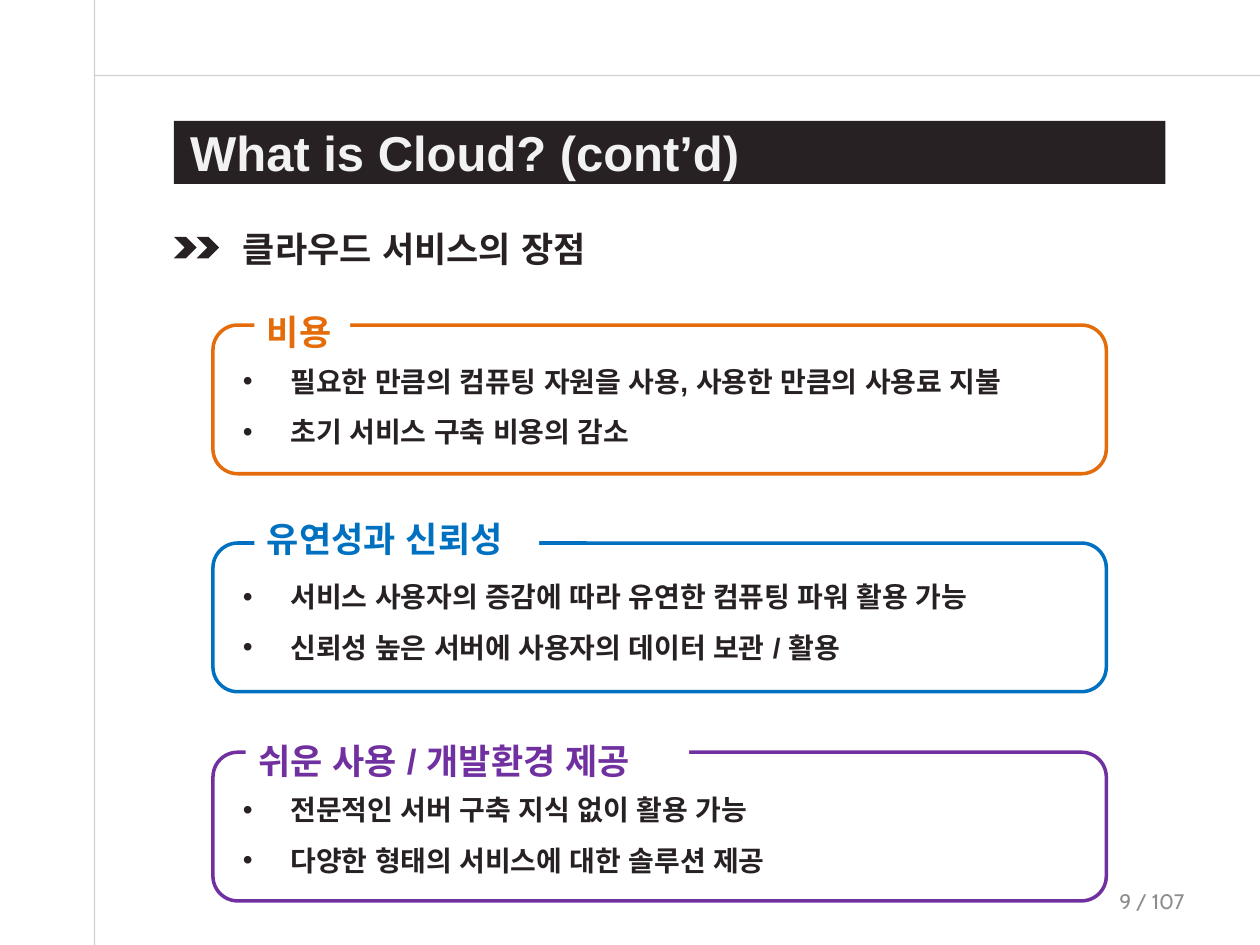
"""Build a slide listing the advantages of cloud services in three labelled frames."""
import pptx
import pptx.dml.color
import pptx.enum.shapes
import pptx.enum.text
import pptx.oxml
import pptx.oxml.ns
import pptx.util

RGBColor = pptx.dml.color.RGBColor
Inches = pptx.util.Inches
Pt = pptx.util.Pt
Shapes = pptx.enum.shapes.MSO_SHAPE
Anchor = pptx.enum.text.MSO_ANCHOR
Align = pptx.enum.text.PP_ALIGN

INK = RGBColor(0x27, 0x21, 0x23)
WHITE = RGBColor(0xFF, 0xFF, 0xFF)
TITLE_COLOR = RGBColor(0xF2, 0xF2, 0xF2)
RULE_COLOR = RGBColor(0xA6, 0xA6, 0xA6)
PAGE_COLOR = RGBColor(0x8C, 0x8C, 0x8C)
ORANGE = RGBColor(0xE4, 0x6C, 0x0A)
BLUE = RGBColor(0x00, 0x70, 0xC0)
PURPLE = RGBColor(0x70, 0x30, 0xA0)

WIDTH, HEIGHT = 10, 7.5
MARGIN, CONTENT_WIDTH = 1.38, 7.87
TEXT_LEFT = 1.83
FRAME_LEFT, FRAME_WIDTH, FRAME_HEIGHT = 1.69, 7.09, 1.18
HANGING = 0.38

TITLE = "What is Cloud? (cont’d)"
HEADING = "클라우드 서비스의 장점"
PAGE = "9 / 107"
SECTIONS = [
    {"color": ORANGE, "top": 2.58, "label": "비용",
     "label_box": (2.02, 2.25, 0.76, 0.54), "spacing": 1.5,
     "points_top": 2.71, "points_width": 7,
     "points": ["필요한 만큼의 컴퓨팅 자원을 사용, 사용한 만큼의 사용료 지불",
                "초기 서비스 구축 비용의 감소"]},
    {"color": BLUE, "top": 4.31, "label": "유연성과 신뢰성",
     "label_box": (2.02, 4.06, 2.26, 0.44), "spacing": 1,
     "points_top": 4.42, "points_width": 6.67,
     "points": ["서비스 사용자의 증감에 따라 유연한 컴퓨팅 파워 활용 가능",
                "신뢰성 높은 서버에 사용자의 데이터 보관 / 활용"]},
    {"color": PURPLE, "top": 5.97, "label": "쉬운 사용 / 개발환경 제공",
     "label_box": (1.95, 5.65, 3.52, 0.54), "spacing": 1.5,
     "points_top": 6.11, "points_width": 5,
     "points": ["전문적인 서버 구축 지식 없이 활용 가능",
                "다양한 형태의 서비스에 대한 솔루션 제공"]},
]


def add_element(parent, tag, **attributes):
    element = pptx.oxml.parse_xml(f"<a:{tag} {pptx.oxml.ns.nsdecls('a')}/>")
    for name, value in attributes.items():
        element.set(name, str(value))
    parent.append(element)


def add_box(slide, kind, box, fill=None, line=None):
    shape = slide.shapes.add_shape(kind, *map(Inches, box))
    shape.shadow.inherit = False
    if fill is None:
        shape.fill.background()
    else:
        shape.fill.solid()
        shape.fill.fore_color.rgb = fill
    if line is None:
        shape.line.fill.background()
    else:
        shape.line.color.rgb = line
        shape.line.width = Pt(2)
    return shape


def write(shape, lines, size, color, bold=True, font="Arial", spacing=1,
          bullet=False, align=Align.LEFT, anchor=Anchor.TOP):
    frame = shape.text_frame
    frame.word_wrap = True
    frame.vertical_anchor = anchor
    for index, line in enumerate(lines):
        paragraph = frame.add_paragraph() if index else frame.paragraphs[0]
        paragraph.alignment = align
        paragraph.line_spacing = spacing
        if bullet:
            properties = paragraph._p.get_or_add_pPr()
            properties.set("marL", str(Inches(HANGING)))
            properties.set("indent", str(-Inches(HANGING)))
            add_element(properties, "buFont", typeface="Arial")
            add_element(properties, "buChar", char="•")
        run = paragraph.add_run()
        run.text = line
        run.font.size = Pt(size)
        run.font.bold = bold
        run.font.color.rgb = color
        run.font.name = font
        add_element(run._r.get_or_add_rPr(), "ea", typeface=font)
    return frame


def add_text(slide, box, lines, size, color, **style):
    return write(slide.shapes.add_textbox(*map(Inches, box)), lines, size, color, **style)


def add_rule(slide, start, end):
    rule = slide.shapes.add_connector(
        pptx.enum.shapes.MSO_CONNECTOR.STRAIGHT, *map(Inches, start + end))
    rule.line.color.rgb = RULE_COLOR
    rule.line.width = Pt(0.75)
    color = rule.line._ln.find(".//" + pptx.oxml.ns.qn("a:srgbClr"))
    add_element(color, "alpha", val=50000)
    add_element(rule._element.spPr, "effectLst")


def main():
    presentation = pptx.Presentation()
    presentation.slide_width = Inches(WIDTH)
    presentation.slide_height = Inches(HEIGHT)
    slide = presentation.slides.add_slide(presentation.slide_layouts[6])

    add_box(slide, Shapes.RECTANGLE, (MARGIN, 0.96, CONTENT_WIDTH, 0.5), INK)
    title = add_text(slide, (1.3, 0.92, 8.35, 0.57), [TITLE], 28, TITLE_COLOR)
    title.margin_left = Inches(0.21)
    add_rule(slide, (0.75, 0), (0.75, HEIGHT))
    add_rule(slide, (WIDTH, 0.6), (0.75, 0.6))

    for column in range(2):
        add_box(slide, Shapes.CHEVRON, (MARGIN + 0.18 * column, 1.88, 0.18, 0.17), INK)
    add_text(slide, (TEXT_LEFT, 1.76, 7.42, 0.44), [HEADING], 20, INK)

    for section in SECTIONS:
        frame_box = (FRAME_LEFT, section["top"], FRAME_WIDTH, FRAME_HEIGHT)
        add_box(slide, Shapes.ROUNDED_RECTANGLE, frame_box, line=section["color"])
        label = add_box(slide, Shapes.RECTANGLE, section["label_box"], WHITE)
        label_frame = write(label, [section["label"]], 20, section["color"],
                            spacing=section["spacing"])
        label_frame.margin_right = 0
        points_box = (TEXT_LEFT, section["points_top"], section["points_width"], 0.91)
        add_text(slide, points_box, section["points"], 16, INK, spacing=1.5, bullet=True)

    add_text(slide, (7.17, 6.95, 2.33, 0.4), [PAGE], 12, PAGE_COLOR, bold=False,
             font="Cabin", align=Align.RIGHT, anchor=Anchor.MIDDLE)
    presentation.save("out.pptx")


if __name__ == "__main__":
    main()
